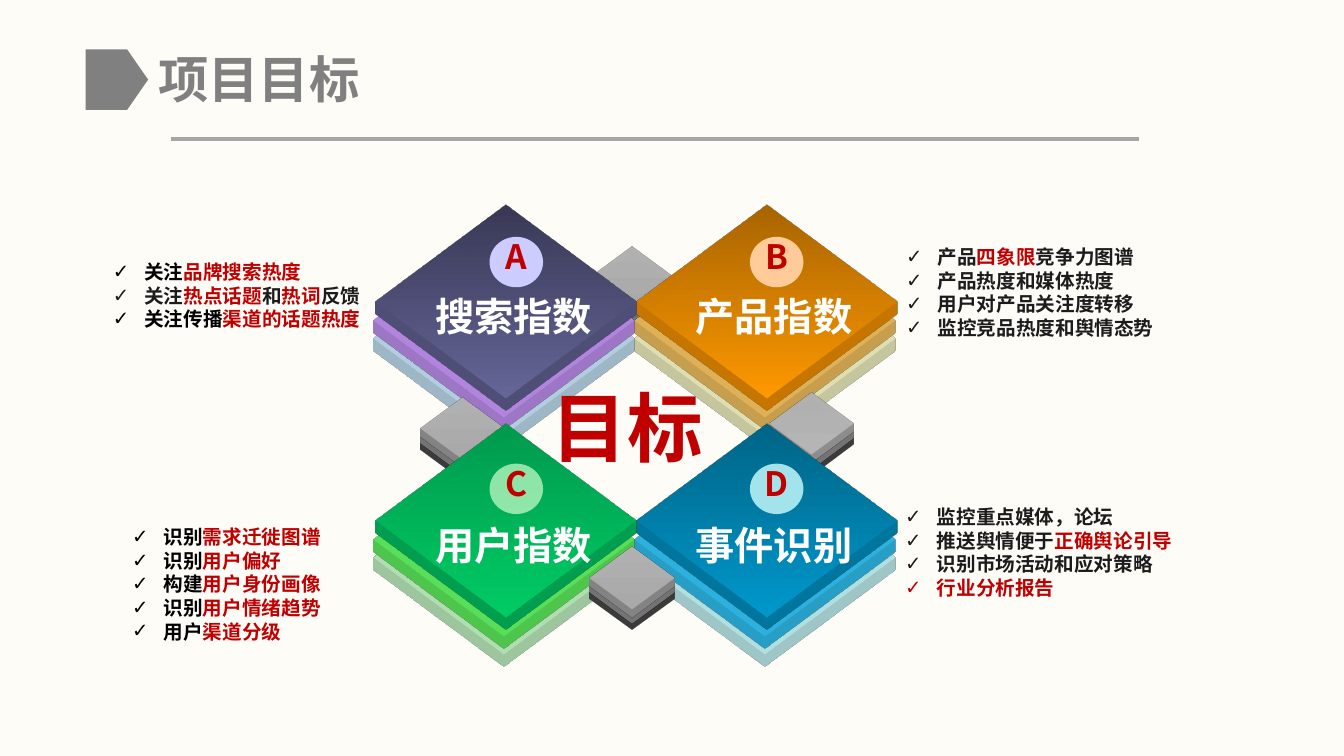
"""Build the project goals slide with four layered index tiles around a central goal."""
from dataclasses import dataclass

from lxml.etree import SubElement
from pptx import Presentation
from pptx.dml.color import RGBColor
from pptx.enum.shapes import MSO_CONNECTOR, MSO_SHAPE
from pptx.enum.text import MSO_ANCHOR, MSO_AUTO_SIZE, PP_ALIGN
from pptx.oxml.ns import qn
from pptx.util import Pt


@dataclass(frozen=True)
class Theme:
    font: str = "Noto Sans CJK SC"
    background: str = "FEFCF7"
    heading: str = "808080"
    rule: str = "A6A6A6"
    ink: str = "1C1C1C"
    black: str = "000000"
    accent: str = "C00000"
    white: str = "FFFFFF"
    title_size: float = 36
    label_size: float = 28
    letter_size: float = 24
    center_size: float = 54
    list_size: float = 14
    line: float = 1.2


THEME = Theme()


@dataclass(frozen=True)
class Stack:
    """Layers of equal diamonds; the top one carries a gradient."""
    left: float
    top: float
    gradient: tuple[str, str]
    lower: tuple[str, str] = ("969696", "4D4D4D")
    width: float = 60.5
    height: float = 44.6
    depth: float = 12
    step: float = 4.6
    drift: float = 0


@dataclass(frozen=True)
class IndexTile:
    column: int
    row: int
    letter: str
    label: str
    gradient: tuple[str, str]
    lower: tuple[str, str]
    badge: str
    opacity: int = 100


@dataclass(frozen=True)
class ListItem:
    """One line of a list; text between asterisks is emphasised."""
    text: str
    color: str = THEME.ink


@dataclass(frozen=True)
class CheckList:
    left: float
    top: float
    width: float
    height: float
    items: tuple[ListItem, ...]


COLUMNS = (268.3, 454.3)
ROWS = (146.2, 302.8)
BADGE_TOPS = (169.2, 331.2)
LABEL_TOPS = (205.2, 368.6)

TILE_A = IndexTile(0, 0, "A", "搜索指数", ("393956", "666699"), ("CC99FF", "CCECFF"), "CCCCFF")
TILE_B = IndexTile(1, 0, "B", "产品指数", ("A96500", "FF9900"), ("FFCC66", "FFFFCC"), "FFCC99")
TILE_C = IndexTile(0, 1, "C", "用户指数", ("009B4E", "00CC66"), ("66FF66", "CCFFCC"), "CCFFCC", 70)
TILE_D = IndexTile(1, 1, "D", "事件识别", ("006587", "0099CC"), ("33CCFF", "CCFFFF"), "CCFFFF", 80)

GREY = ("B2B2B2", "ABABAB")
LINK_TOP = Stack(421.2, 176.4, GREY)
LINK_RIGHT = Stack(549.4, 280.1, ("B2B2B2", "B7B7B7"))
LINK_LEFT = Stack(300.2, 283.7, GREY)
LINK_BOTTOM = Stack(421.2, 390.2, GREY)

LISTS = (
    CheckList(640, 171.4, 211, 75, (
        ListItem("产品*四象限*竞争力图谱"), ListItem("产品热度和媒体热度"),
        ListItem("用户对产品关注度转移"), ListItem("监控竞品热度和舆情态势"))),
    CheckList(639.4, 357.2, 206.6, 75, (
        ListItem("监控重点媒体，论坛"), ListItem("推送舆情便于*正确舆论引导*"),
        ListItem("识别市场活动和应对策略"), ListItem("*行业分析报告*"))),
    CheckList(73.4, 182.2, 193, 58, (
        ListItem("关注*品牌搜索热度*", THEME.black), ListItem("关注*热点话题*和*热词*反馈"),
        ListItem("关注传播*渠道的话题热度*", THEME.black))),
    CheckList(87.1, 371.6, 152.6, 92, tuple(ListItem(text, THEME.black) for text in (
        "识别*需求迁徙图谱*", "识别*用户偏好*", "构建*用户身份画像*",
        "识别*用户情绪趋势*", "用户*渠道分级*"))),
)


def rgb(color: str) -> RGBColor:
    return RGBColor.from_string(color)


def write(paragraph, text: str, *, size: float, color: str,
          align: PP_ALIGN = PP_ALIGN.LEFT) -> None:
    paragraph.alignment = align
    paragraph.line_spacing = Pt(round(size * THEME.line, 1))
    paragraph.space_before = Pt(0)
    for index, part in enumerate(text.split("*")):
        if not part:
            continue
        run = paragraph.add_run()
        run.text = part
        run.font.size = Pt(size)
        run.font.bold = True
        run.font.name = THEME.font
        run.font.color.rgb = rgb(THEME.accent if index % 2 else color)
        SubElement(run.font._element, qn("a:ea"), typeface=THEME.font)


def place(shape, left: float, top: float, width: float, height: float) -> None:
    shape.left, shape.top, shape.width, shape.height = map(Pt, (left, top, width, height))


def add_preset(slide, kind: MSO_SHAPE, left: float, top: float, width: float, height: float,
               color: str, opacity: int = 100):
    shape = slide.shapes.add_shape(kind, Pt(left), Pt(top), Pt(width), Pt(height))
    shape.shadow.inherit = False
    shape.line.fill.background()
    shape.fill.solid()
    shape.fill.fore_color.rgb = rgb(color)
    if opacity < 100:
        target = shape.fill._xPr.find(f"{qn('a:solidFill')}/{qn('a:srgbClr')}")
        SubElement(target, qn("a:alpha"), val=str(opacity * 1000))
    return shape


def add_caption(slide, text: str, left: float, top: float, width: float, height: float, *,
                size: float, color: str) -> None:
    frame = slide.shapes.add_textbox(Pt(left), Pt(top), Pt(width), Pt(height)).text_frame
    frame.word_wrap = False
    write(frame.paragraphs[0], text, size=size, color=color, align=PP_ALIGN.CENTER)


def extrude(shape, depth: float, color: str) -> None:
    properties = shape._element.spPr
    scene = SubElement(properties, qn("a:scene3d"))
    SubElement(scene, qn("a:camera"), prst="legacyObliqueBottom")
    SubElement(scene, qn("a:lightRig"), rig="legacyFlat3", dir="r")
    solid = SubElement(properties, qn("a:sp3d"), extrusionH=str(Pt(depth)),
                       prstMaterial="legacyMatte")
    for bevel in ("a:bevelT", "a:bevelB"):
        SubElement(solid, qn(bevel), w="13500", h="13500", prst="angle")
    SubElement(SubElement(solid, qn("a:extrusionClr")), qn("a:srgbClr"), val=color)


def add_stack(slide, stack: Stack) -> None:
    colors = (stack.gradient[1], *stack.lower)
    for level in reversed(range(len(colors))):
        left = stack.left - (stack.drift if level else 0)
        diamond = add_preset(slide, MSO_SHAPE.DIAMOND, left, stack.top + level * stack.step,
                             stack.width, stack.height, colors[level])
        extrude(diamond, stack.depth, colors[level])
    diamond.fill.gradient()
    diamond.fill.gradient_angle = 270
    for stop, color in zip(diamond.fill.gradient_stops, stack.gradient):
        stop.color.rgb = rgb(color)


def add_tile(slide, tile: IndexTile) -> None:
    left, badge_top = COLUMNS[tile.column], BADGE_TOPS[tile.row]
    add_stack(slide, Stack(left, ROWS[tile.row], tile.gradient, tile.lower, width=186.5,
                           height=138.2, depth=18, step=13.2, drift=1.3))
    add_caption(slide, tile.label, left + 34.8, LABEL_TOPS[tile.row], 127.4, 41,
                size=THEME.label_size, color=THEME.white)
    add_preset(slide, MSO_SHAPE.OVAL, left + 81.4, badge_top, 38.2, 36, tile.badge, tile.opacity)
    add_caption(slide, tile.letter, left + 81.4, badge_top - 4, 38.2, 36.5,
                size=THEME.letter_size, color=THEME.accent)


def fill_list(placeholder, check_list: CheckList) -> None:
    place(placeholder, check_list.left, check_list.top, check_list.width, check_list.height)
    frame = placeholder.text_frame
    frame.word_wrap = True
    frame.auto_size = MSO_AUTO_SIZE.NONE
    frame.vertical_anchor = MSO_ANCHOR.TOP
    for index, item in enumerate(check_list.items):
        paragraph = frame.add_paragraph() if index else frame.paragraphs[0]
        properties = paragraph._p.get_or_add_pPr()
        properties.set("marL", str(Pt(22.5)))
        properties.set("indent", str(-Pt(22.5)))
        SubElement(properties, qn("a:buChar"), char="✓")
        write(paragraph, item.text, size=THEME.list_size, color=item.color)


def add_header(slide) -> None:
    rule = slide.shapes.add_connector(MSO_CONNECTOR.STRAIGHT, Pt(122.4), Pt(99.4),
                                      Pt(813.6), Pt(99.4))
    rule.line.width = Pt(3)
    rule.line.color.rgb = rgb(THEME.rule)
    SubElement(rule._element.spPr, qn("a:effectLst"))
    marker = add_preset(slide, MSO_SHAPE.PENTAGON, 61.2, 35.3, 44.6, 43.2, THEME.heading)
    marker.adjustments[0] = 0.347
    title = slide.shapes.title
    place(title, 105.8, 31, 759.6, 57.6)
    title.text_frame.auto_size = MSO_AUTO_SIZE.NONE
    title.text_frame.vertical_anchor = MSO_ANCHOR.TOP
    write(title.text_frame.paragraphs[0], "项目目标", size=THEME.title_size, color=THEME.heading)


def main() -> None:
    presentation = Presentation()
    presentation.slide_width, presentation.slide_height = Pt(960), Pt(540)
    slide = presentation.slides.add_slide(presentation.slide_layouts.get_by_name("Comparison"))
    slide.background.fill.solid()
    slide.background.fill.fore_color.rgb = rgb(THEME.background)
    add_header(slide)
    add_stack(slide, LINK_TOP)
    add_tile(slide, TILE_B)
    add_tile(slide, TILE_A)
    add_caption(slide, "目标", 386, 268.6, 123.8, 72.7, size=THEME.center_size, color=THEME.accent)
    for link, tile in ((LINK_RIGHT, TILE_D), (LINK_LEFT, TILE_C)):
        add_stack(slide, link)
        add_tile(slide, tile)
    add_stack(slide, LINK_BOTTOM)
    bodies = [shape for shape in slide.placeholders if shape.placeholder_format.idx > 0]
    for placeholder, check_list in zip(bodies, LISTS):
        fill_list(placeholder, check_list)
    presentation.save("out.pptx")


if __name__ == "__main__":
    main()
